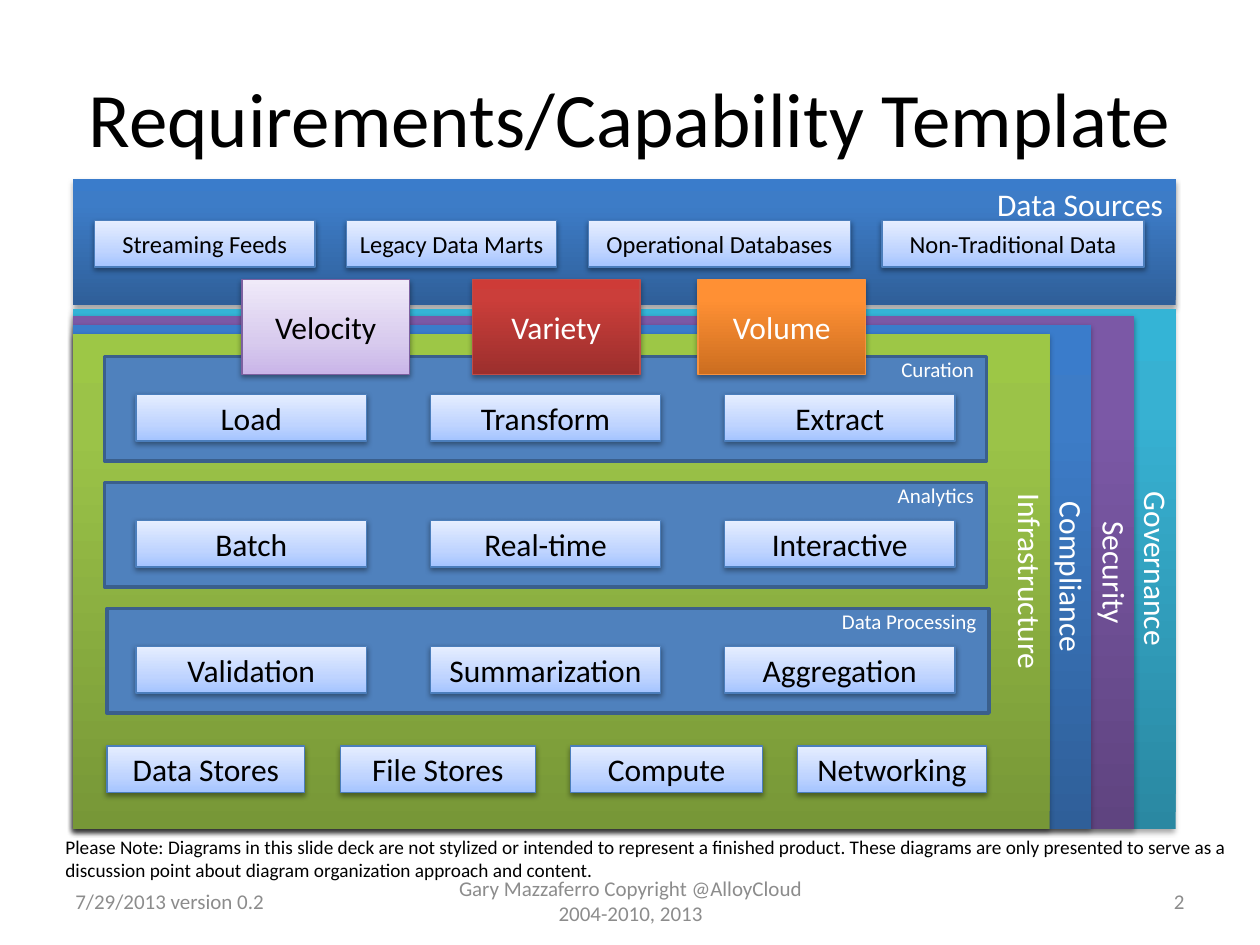
from lxml.etree import SubElement
from pptx import Presentation
from pptx.dml.color import RGBColor
from pptx.enum.shapes import MSO_SHAPE
from pptx.enum.text import MSO_ANCHOR, MSO_AUTO_SIZE, PP_ALIGN
from pptx.oxml.ns import qn
from pptx.util import Inches, Pt

BLUE = [(0, "2F5F99"), (80, "3D7CC7"), (100, "3A7CCB")]
TEAL = [(0, "2A88A2"), (80, "37B1D2"), (100, "34B4D6")]
PURPLE = [(0, "5F4480"), (80, "7B58A6"), (100, "7C57A8")]
GREEN = [(0, "779737"), (80, "9BC348"), (100, "9DC746")]
RED = [(0, "9C2F2D"), (80, "CB3E3A"), (100, "CE3B37")]
ORANGE = [(0, "CC6E20"), (80, "FF9034"), (100, "FF9136")]
LILAC = [(0, "C9B5E8"), (35, "D8CBEE"), (100, "F0EAF9")]
PALE_BLUE = [(0, "A4C4FF"), (35, "BFD4FF"), (100, "E6EEFF")]
BLACK, WHITE, GREY = "000000", "FFFFFF", "8C8C8C"
LEFT, CENTER, RIGHT = PP_ALIGN.LEFT, PP_ALIGN.CENTER, PP_ALIGN.RIGHT
TOP, MIDDLE = MSO_ANCHOR.TOP, MSO_ANCHOR.MIDDLE


def write(shape, text, size=18, color=BLACK, align=CENTER, anchor=MIDDLE,
          margins=(0.1, 0.05), wrap=True, vertical=False):
    """Fill a shape with text, one paragraph per line; margins are (sides, top and bottom)."""
    frame = shape.text_frame
    frame.text = text
    frame.word_wrap = wrap
    frame.vertical_anchor = anchor
    frame.margin_left = frame.margin_right = Inches(margins[0])
    frame.margin_top = frame.margin_bottom = Inches(margins[1])
    if vertical:
        frame._txBody.bodyPr.set("vert", "vert")
    for paragraph in frame.paragraphs:
        paragraph.alignment = align
        font = paragraph.runs[0].font
        font.name, font.size = "Calibri", Pt(size)
        font.color.rgb = RGBColor.from_string(color)


def add_panel(x, y, width, height, fill, line=None, line_width=0.75):
    """Add a rectangle; a list of stops as fill gives a bottom-to-top gradient and a shadow."""
    panel = slide.shapes.add_shape(
        MSO_SHAPE.RECTANGLE, Inches(x), Inches(y), Inches(width), Inches(height))
    panel.shadow.inherit = False
    if line:
        panel.line.color.rgb = RGBColor.from_string(line)
        panel.line.width = Pt(line_width)
    else:
        panel.line.fill.background()
    if isinstance(fill, str):
        panel.fill.solid()
        panel.fill.fore_color.rgb = RGBColor.from_string(fill)
        return panel

    panel.fill.gradient()
    panel.fill.gradient_angle = 90
    properties = panel._element.spPr
    stops = properties.find(".//" + qn("a:gsLst"))
    for stop in list(stops):
        stops.remove(stop)
    for position, color in fill:
        stop = SubElement(stops, qn("a:gs"), pos=str(position * 1000))
        SubElement(stop, qn("a:srgbClr"), val=color)

    strong = fill[1][0] == 80
    shadow = SubElement(
        properties.find(qn("a:effectLst")), qn("a:outerShdw"), blurRad=str(Pt(3.1)),
        dist=str(Pt(1.8 if strong else 1.6)), dir="5400000", rotWithShape="0")
    shadow_color = SubElement(shadow, qn("a:srgbClr"), val=BLACK)
    SubElement(shadow_color, qn("a:alpha"), val="35000" if strong else "38000")
    return panel


prs = Presentation()
prs.slide_width, prs.slide_height = Inches(10), Inches(7.5)
slide = prs.slides.add_slide(prs.slide_layouts[6])

# Title, note and footer
note = ("Please Note: Diagrams in this slide deck are not stylized or intended to represent "
        "a finished product. These diagrams are only presented to serve as a\n"
        "discussion point about diagram organization approach and content.")
for x, y, width, height, text, style in [
    (0.5, 0.3, 9, 1.25, "Requirements/Capability Template", dict(size=44)),
    (0.42, 6.58, 9.49, 0.47, note, dict(size=11, align=LEFT, anchor=TOP, wrap=False)),
    (0.5, 6.95, 2.33, 0.4, "7/29/2013 version 0.2", dict(size=12, color=GREY, align=LEFT)),
    (3.42, 6.95, 3.17, 0.4, "Gary Mazzaferro Copyright @AlloyCloud 2004-2010, 2013",
     dict(size=12, color=GREY)),
    (7.17, 6.95, 2.33, 0.4, "2", dict(size=12, color=GREY, align=RIGHT)),
]:
    text_box = slide.shapes.add_textbox(Inches(x), Inches(y), Inches(width), Inches(height))
    write(text_box, text, **style)
    if text == note:
        text_box.text_frame.auto_size = MSO_AUTO_SIZE.SHAPE_TO_FIT_TEXT

# Data sources band
data_sources = add_panel(0.58, 1.42, 8.75, 1, BLUE)
write(data_sources, "Data Sources", color=WHITE, align=RIGHT, anchor=TOP)

# Nested layers, all ending on the same bottom edge
layers_bottom = 6.58
for label, y, width, fill in [
    ("Governance", 2.45, 8.75, TEAL),
    ("Security", 2.51, 8.42, PURPLE),
    ("Compliance", 2.58, 8.08, BLUE),
    ("Infrastructure", 2.65, 7.75, GREEN),
]:
    layer = add_panel(0.58, y, width, layers_bottom - y, fill)
    write(layer, label, color=WHITE, anchor=TOP, margins=(0, 0.05), vertical=True)

# Capability groups with their three functions
for row, (group, x, functions) in enumerate([
    ("Curation", 0.83, ["Load", "Transform", "Extract"]),
    ("Analytics", 0.83, ["Batch", "Real-time", "Interactive"]),
    ("Data Processing", 0.85, ["Validation", "Summarization", "Aggregation"]),
]):
    group_panel = add_panel(x, 2.83 + row, 7, 0.83, "4F81BD", "3A5F8C", 2)
    write(group_panel, group, size=12, color=WHITE, align=RIGHT, anchor=TOP, margins=(0.1, 0))
    for column, function in enumerate(functions):
        tile = add_panel(1.08 + column * 2.335, 3.13 + row, 1.83, 0.37, PALE_BLUE, "4B7EBC")
        write(tile, function)

# The three Vs
for label, x, fill, line, color in [
    ("Velocity", 1.92, LILAC, "7D60A0", BLACK),
    ("Variety", 3.75, RED, "BF4C48", WHITE),
    ("Volume", 5.54, ORANGE, "F69240", WHITE),
]:
    write(add_panel(x, 2.22, 1.33, 0.75, fill, line), label, color=color)

# Source tiles and infrastructure tiles, each row with an equal gap
for x, y, gap, size, tiles in [
    (0.75, 1.75, 0.25, 14, [("Streaming Feeds", 1.75), ("Legacy Data Marts", 1.67),
                            ("Operational Databases", 2.08), ("Non-Traditional Data", 2.08)]),
    (0.85, 5.92, 0.28, 18, [("Data Stores", 1.57), ("File Stores", 1.55),
                            ("Compute", 1.52), ("Networking", 1.5)]),
]:
    for label, width in tiles:
        write(add_panel(x, y, width, 0.37, PALE_BLUE, "4B7EBC"), label, size=size)
        x += width + gap

prs.save("out.pptx")
